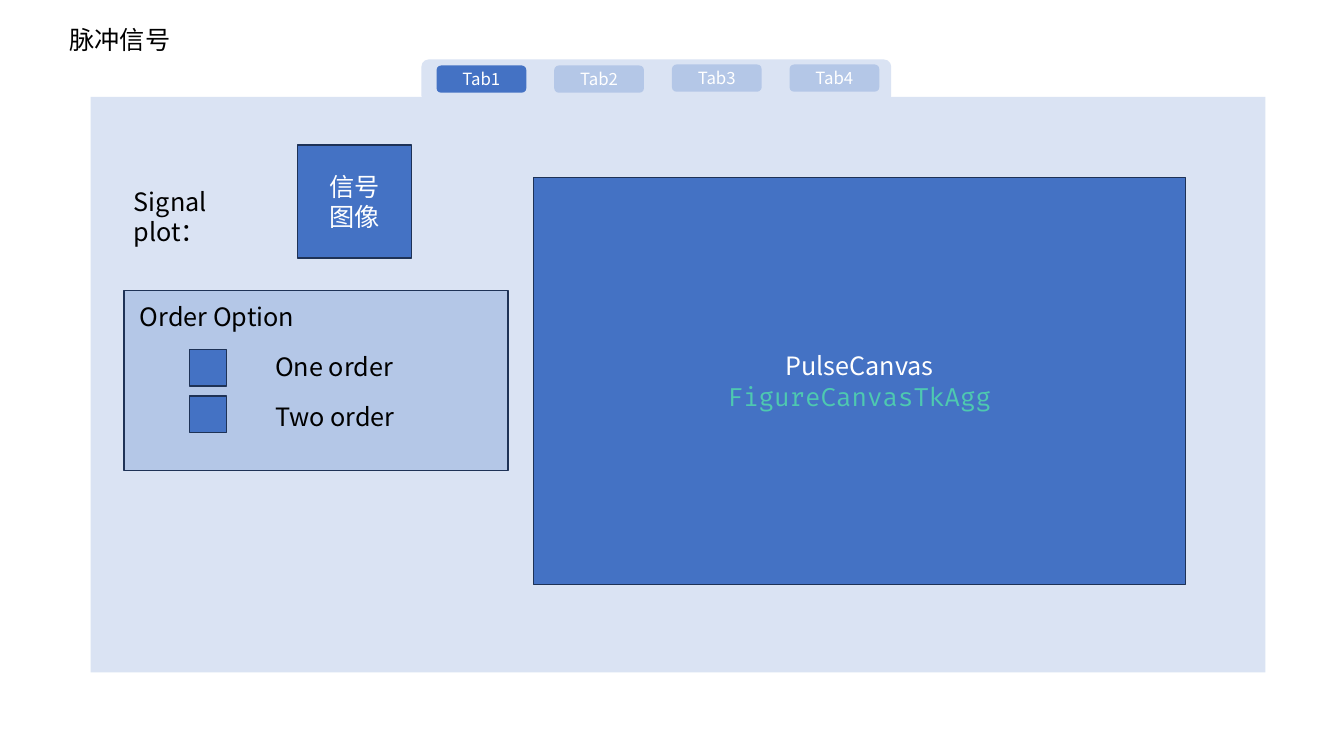
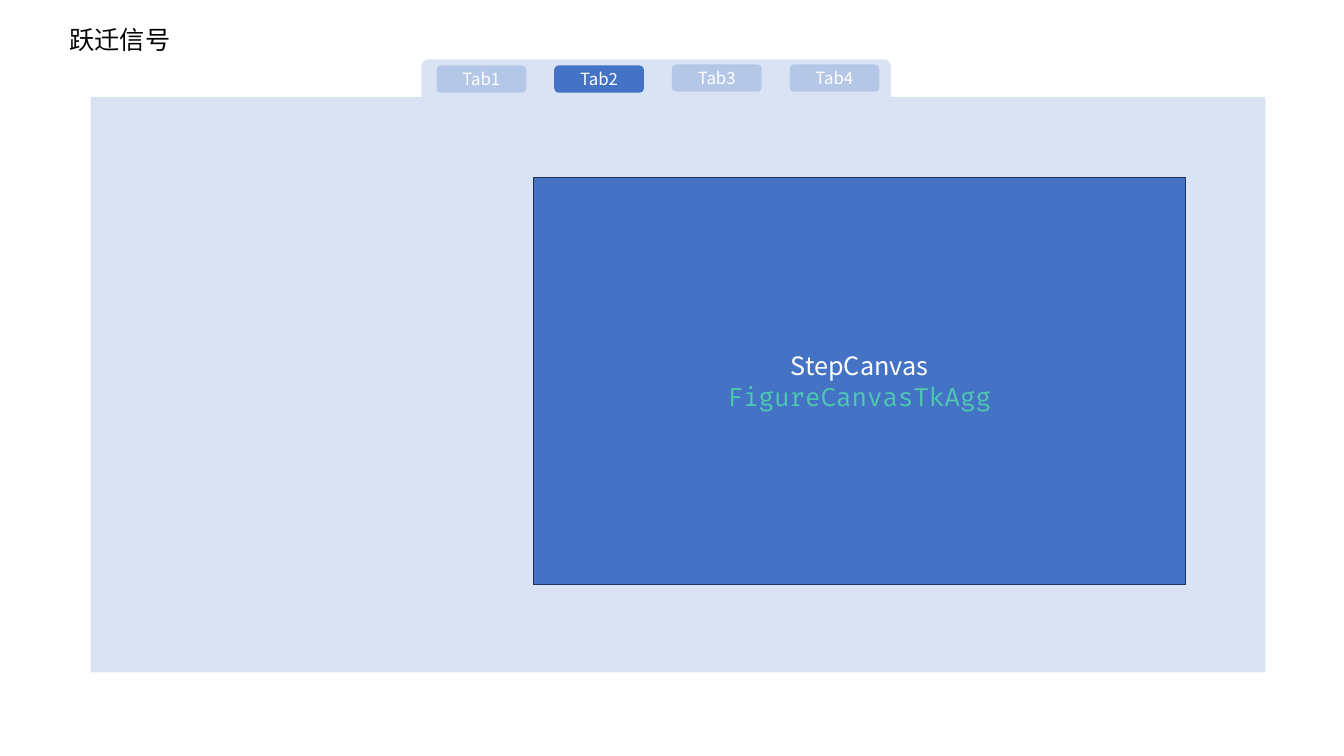
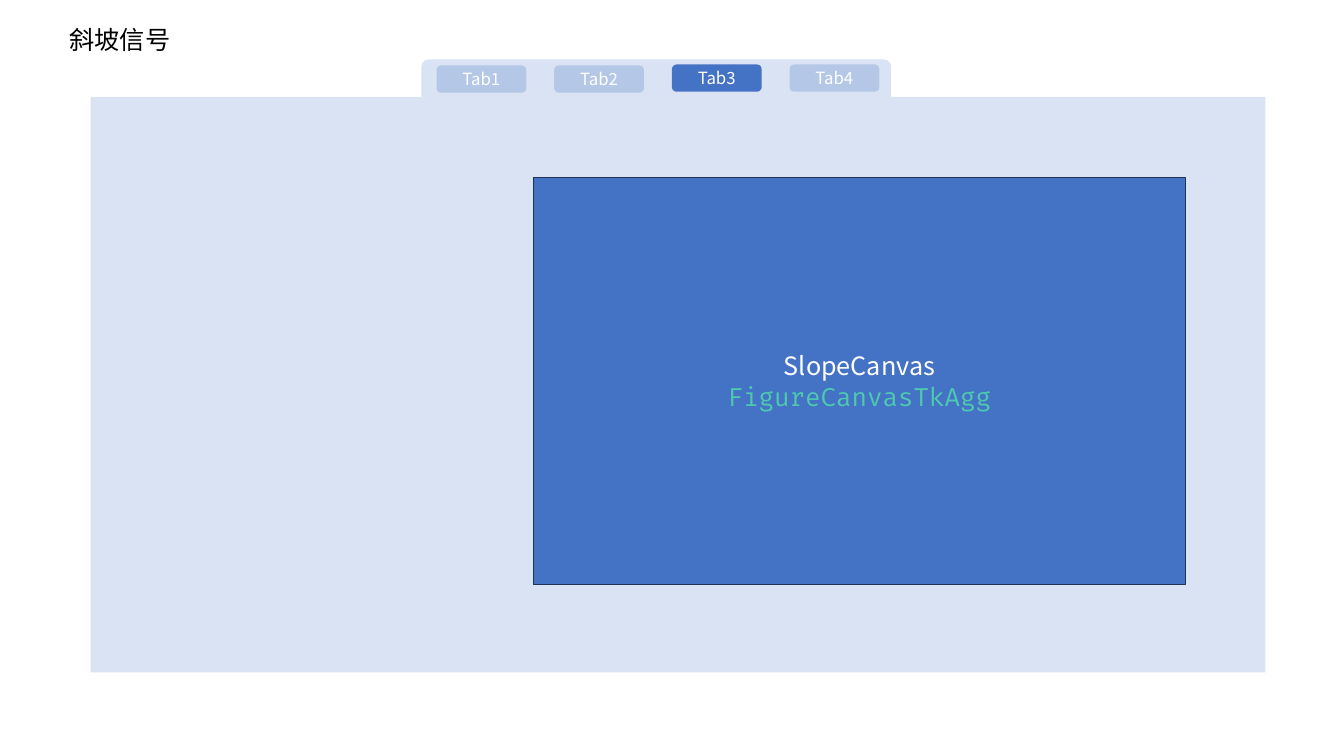
import pptx
import pptx.util
import pptx.dml.color
import pptx.enum.shapes
import pptx.enum.text
import pptx.oxml.ns
import lxml.etree

Inches = pptx.util.Inches
SHAPES = pptx.enum.shapes.MSO_SHAPE
TEXT_FONT, CODE_FONT = "Noto Sans CJK SC", "Fira Code"
PANEL, PALE, BLUE, NAVY = "DAE3F3", "B4C7E7", "4472C4", "1E3256"
WHITE, BLACK, TEAL = "FFFFFF", "000000", "4EC9B0"


def paint(color, value):
    color.rgb = pptx.dml.color.RGBColor.from_string(value)


def add_box(page, left, top, width, height, fill=None, line=None, lines=(),
            size=18, rounded=False):
    """Filled shape with centred text, or a plain label when fill is None."""
    area = [Inches(value) for value in (left, top, width, height)]
    if fill:
        kind = SHAPES.ROUNDED_RECTANGLE if rounded else SHAPES.RECTANGLE
        box = page.shapes.add_shape(kind, *area)
        box.shadow.inherit = False
        box.fill.solid()
        paint(box.fill.fore_color, fill)
        if line:
            paint(box.line.color, line)
            box.line.width = pptx.util.Pt(1)
        else:
            box.line.fill.background()
        box.text_frame.vertical_anchor = pptx.enum.text.MSO_ANCHOR.MIDDLE
    else:
        box = page.shapes.add_textbox(*area)
        box.text_frame.auto_size = pptx.enum.text.MSO_AUTO_SIZE.SHAPE_TO_FIT_TEXT
    box.text_frame.word_wrap = True
    if not lines:
        return
    box.text_frame.text = "\n".join(lines)
    for para in box.text_frame.paragraphs:
        is_code = para.text == "FigureCanvasTkAgg"
        para.font.size = pptx.util.Pt(size)
        para.font.name = CODE_FONT if is_code else TEXT_FONT
        paint(para.font.color, TEAL if is_code else WHITE if fill else BLACK)
        # East Asian typeface for the Chinese text
        lxml.etree.SubElement(para._p.pPr.find(pptx.oxml.ns.qn("a:defRPr")),
                              pptx.oxml.ns.qn("a:ea"), typeface=TEXT_FONT)
        if fill:
            para.alignment = pptx.enum.text.PP_ALIGN.CENTER


deck = pptx.Presentation()
deck.slide_width, deck.slide_height = Inches(13.33), Inches(7.5)

# Window shared by all slides: panel, canvas, tab bar, title
signals = [("脉冲信号", "PulseCanvas"), ("跃迁信号", "StepCanvas"), ("斜坡信号", "SlopeCanvas")]
for active, (title, canvas) in enumerate(signals):
    page = deck.slides.add_slide(deck.slide_layouts[6])
    add_box(page, 0.9, 0.96, 11.65, 5.71, PANEL)
    add_box(page, 5.29, 1.76, 6.47, 4.04, BLUE, NAVY, [canvas, "FigureCanvasTkAgg"])
    add_box(page, 4.18, 0.59, 4.66, 0.43, PANEL, rounded=True)
    for tab in range(4):
        add_box(page, 4.33 + tab * 1.167, 0.65 if tab < 2 else 0.64, 0.89, 0.27,
                BLUE if tab == active else PALE,
                lines=[f"Tab{tab + 1}"], size=12, rounded=True)
    add_box(page, 0.59, 0.19, 1.98, 0.4, lines=[title])

# Pulse signal controls on the first slide
page = deck.slides[0]
add_box(page, 2.95, 1.44, 1.13, 1.12, BLUE, NAVY, ["信号", "图像"])
add_box(page, 1.23, 1.8, 1.63, 0.4, lines=["Signal plot："])

# Order options
add_box(page, 1.23, 2.88, 3.81, 1.79, PALE, NAVY)
add_box(page, 1.29, 2.94, 1.9, 0.4, lines=["Order Option"])
for option, check_top, label_top in [("One order", 3.47, 3.44), ("Two order", 3.93, 3.93)]:
    add_box(page, 1.88, check_top, 0.37, 0.36, BLUE, NAVY)
    add_box(page, 2.63, label_top, 1.48, 0.4, lines=[option])

deck.save("out.pptx")
